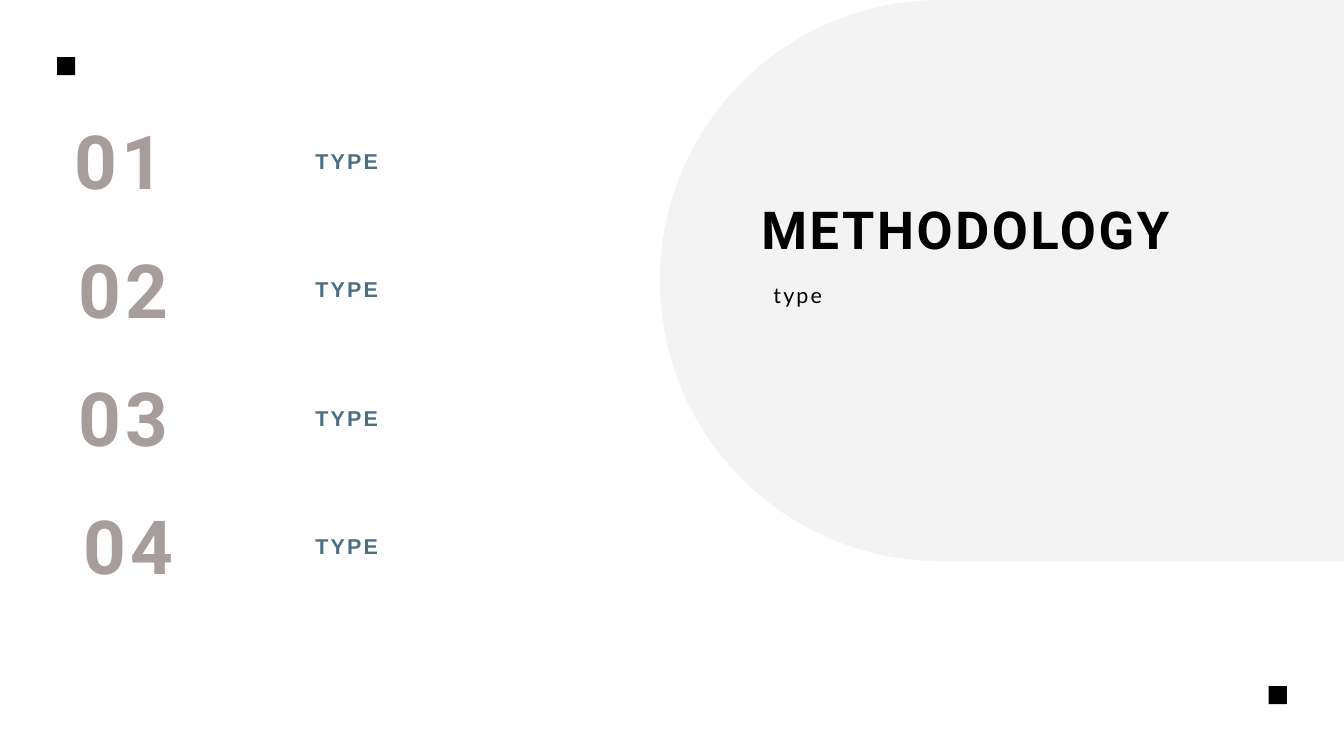
import pptx
import pptx.util
import pptx.dml.color
import pptx.enum.shapes
import pptx.enum.text
import lxml.etree
from pptx.util import Inches
from pptx.oxml.ns import qn

SHAPE = pptx.enum.shapes.MSO_SHAPE
ALIGN = pptx.enum.text.PP_ALIGN

TITLE = "METHODOLOGY"
SUBTITLE = "type"
ITEMS = [
    ("01", "TYPE", 0.72, 2.12),
    ("02", "TYPE", 0.85, 1.98),
    ("03", "TYPE", 0.85, 1.98),
    ("04", "TYPE", 0.92, 1.98),
]
MARKERS = [(0.85, 0.85), (18.88, 10.21)]
MARKER_SIZE = 0.27
NUMBER_TOP, LABEL_TOP, ROW_STEP = 1.49, 2.14, 1.91

TITLE_STYLE = dict(font="Roboto", size=56, color="000000", bold=True,
                   spacing=2.8, line=78.4, align=ALIGN.LEFT)
SUBTITLE_STYLE = dict(font="Lato", size=23, color="000000", bold=False,
                      spacing=2.3, line=36.8, align=ALIGN.LEFT)
NUMBER_STYLE = dict(font="Roboto", size=80, color="A79E9C", bold=True,
                    spacing=4, line=112, align=ALIGN.CENTER)
LABEL_STYLE = dict(font="Arial", size=23, color="4E6E81", bold=True,
                   spacing=2.3, line=32.2, align=ALIGN.CENTER)


def rgb(color):
    return pptx.dml.color.RGBColor.from_string(color)


def add_filled(s, kind, x, y, w, h, color):
    sp = s.shapes.add_shape(kind, Inches(x), Inches(y), Inches(w), Inches(h))
    sp.shadow.inherit = False
    sp.fill.solid()
    sp.fill.fore_color.rgb = rgb(color)
    sp.line.fill.background()
    return sp


def add_text(s, text, x, y, w, h, font, size, color, bold, spacing, line, align):
    sp = s.shapes.add_textbox(Inches(x), Inches(y), Inches(w), Inches(h))
    tf = sp.text_frame
    tf.word_wrap = True
    tf.auto_size = pptx.enum.text.MSO_AUTO_SIZE.SHAPE_TO_FIT_TEXT
    tf.margin_left = tf.margin_right = tf.margin_top = tf.margin_bottom = 0
    p = tf.paragraphs[0]
    p.alignment = align
    p.line_spacing = pptx.util.Pt(line)
    r = p.add_run()
    r.text = text
    r.font.name = font
    r.font.size = pptx.util.Pt(size)
    r.font.bold = bold
    r.font.color.rgb = rgb(color)
    r._r.get_or_add_rPr().set("spc", str(round(spacing * 100)))


def main():
    prs = pptx.Presentation()
    prs.slide_width, prs.slide_height = Inches(20), Inches(11.25)
    s = prs.slides.add_slide(prs.slide_layouts[6])

    panel = add_filled(s, SHAPE.ROUNDED_RECTANGLE, 9.82, 0, 14.6, 8.35, "F2F1F1")
    panel.adjustments[0] = 0.5
    fill_color = panel._element.spPr.find(qn("a:solidFill"))[0]
    lxml.etree.SubElement(fill_color, qn("a:alpha")).set("val", "80000")

    add_text(s, TITLE, 11.33, 2.78, 8.06, 1.1, **TITLE_STYLE)
    add_text(s, SUBTITLE, 11.51, 4.07, 7.01, 0.49, **SUBTITLE_STYLE)

    for x, y in MARKERS:
        add_filled(s, SHAPE.RECTANGLE, x, y, MARKER_SIZE, MARKER_SIZE, "000000")

    for i, (number, label, x, w) in enumerate(ITEMS):
        offset = i * ROW_STEP
        add_text(s, number, x, NUMBER_TOP + offset, w, 1.56, **NUMBER_STYLE)
        add_text(s, label, 2.55, LABEL_TOP + offset, 5.22, 0.43, **LABEL_STYLE)

    prs.save("out.pptx")


if __name__ == "__main__":
    main()
